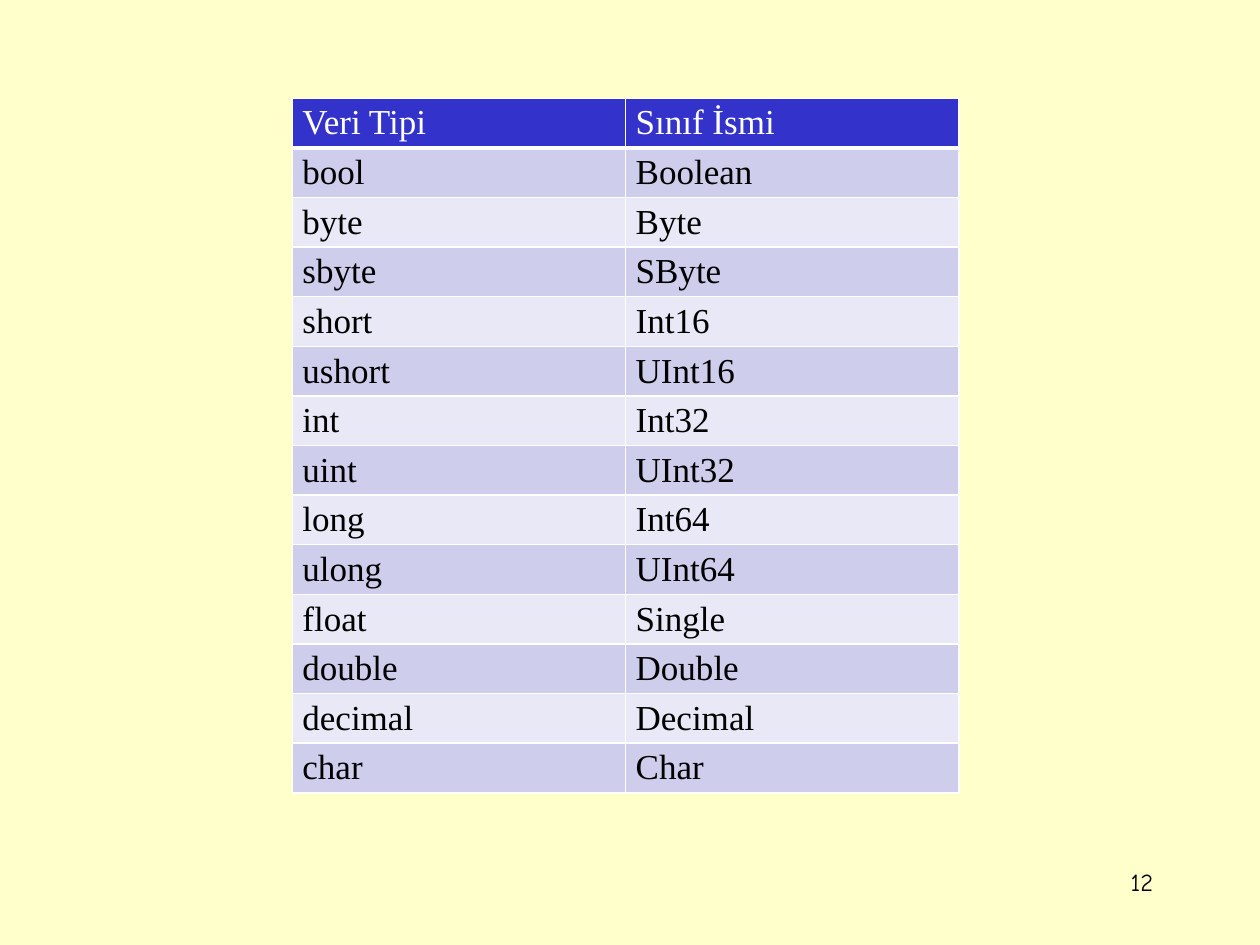
import pptx
import pptx.dml.color
import pptx.enum.text
import pptx.oxml
import pptx.oxml.ns
import pptx.util
from pptx.util import Inches

HEADINGS = ("Veri Tipi", "Sınıf İsmi")
DATA_TYPES = [
    ("bool", "Boolean"),
    ("byte", "Byte"),
    ("sbyte", "SByte"),
    ("short", "Int16"),
    ("ushort", "UInt16"),
    ("int", "Int32"),
    ("uint", "UInt32"),
    ("long", "Int64"),
    ("ulong", "UInt64"),
    ("float", "Single"),
    ("double", "Double"),
    ("decimal", "Decimal"),
    ("char", "Char"),
]
PAGE_NUMBER = "12"

COLORS = {
    "background": "FFFFCC",
    "header": "3333CC",
    "odd": "CECEEC",
    "even": "E8E8F6",
    "border": "FFFFFF",
    "header_text": "FFFFFF",
    "text": "000000",
}
CELL_FORMAT = {
    "margin_left": Inches(0.08),
    "margin_right": Inches(0.08),
    "margin_top": Inches(0.03),
    "margin_bottom": Inches(0.03),
    "vertical_anchor": pptx.enum.text.MSO_ANCHOR.MIDDLE,
}
TABLE_LEFT, TABLE_TOP = Inches(2.32), Inches(0.78)
TABLE_WIDTH, TABLE_HEIGHT = Inches(5.29), Inches(5.42)


def rgb(name):
    return pptx.dml.color.RGBColor.from_string(COLORS[name])


def style_font(paragraph, face, size, color):
    paragraph.font.name = face
    paragraph.font.size = pptx.util.Pt(size)
    paragraph.font.color.rgb = rgb(color)


def add_borders(cell, bottom_width):
    """Draw the four cell borders; must run before the cell is filled."""
    properties = cell._tc.get_or_add_tcPr()
    for side, width in (("L", 1), ("R", 1), ("T", 1), ("B", bottom_width)):
        properties.append(pptx.oxml.parse_xml(
            f'<a:ln{side} {pptx.oxml.ns.nsdecls("a")} w="{pptx.util.Pt(width)}">'
            f'<a:solidFill><a:srgbClr val="{COLORS["border"]}"/></a:solidFill>'
            f'</a:ln{side}>'))


def add_type_table(slide):
    rows = [HEADINGS, *DATA_TYPES]
    table = slide.shapes.add_table(
        len(rows), len(HEADINGS), TABLE_LEFT, TABLE_TOP, TABLE_WIDTH, TABLE_HEIGHT).table
    for r, values in enumerate(rows):
        is_header = r == 0
        fill = "header" if is_header else "odd" if r % 2 else "even"
        for c, value in enumerate(values):
            cell = table.cell(r, c)
            cell.text = value
            for attribute, setting in CELL_FORMAT.items():
                setattr(cell, attribute, setting)
            add_borders(cell, 3 if is_header else 1)
            cell.fill.solid()
            cell.fill.fore_color.rgb = rgb(fill)
            style_font(cell.text_frame.paragraphs[0], "Times New Roman", 20,
                       "header_text" if is_header else "text")


def add_page_number(slide):
    frame = slide.shapes.add_textbox(
        Inches(7.17), Inches(6.83), Inches(2.08), Inches(0.5)).text_frame
    frame.word_wrap = True
    frame.text = PAGE_NUMBER
    number = frame.paragraphs[0]
    number.alignment = pptx.enum.text.PP_ALIGN.RIGHT
    style_font(number, "Comic Neue", 14, "text")


def main():
    deck = pptx.Presentation()
    deck.slide_width, deck.slide_height = Inches(10), Inches(7.5)
    slide = deck.slides.add_slide(deck.slide_layouts[6])
    slide.background.fill.solid()
    slide.background.fill.fore_color.rgb = rgb("background")
    add_page_number(slide)
    add_type_table(slide)
    deck.save("out.pptx")


if __name__ == "__main__":
    main()
